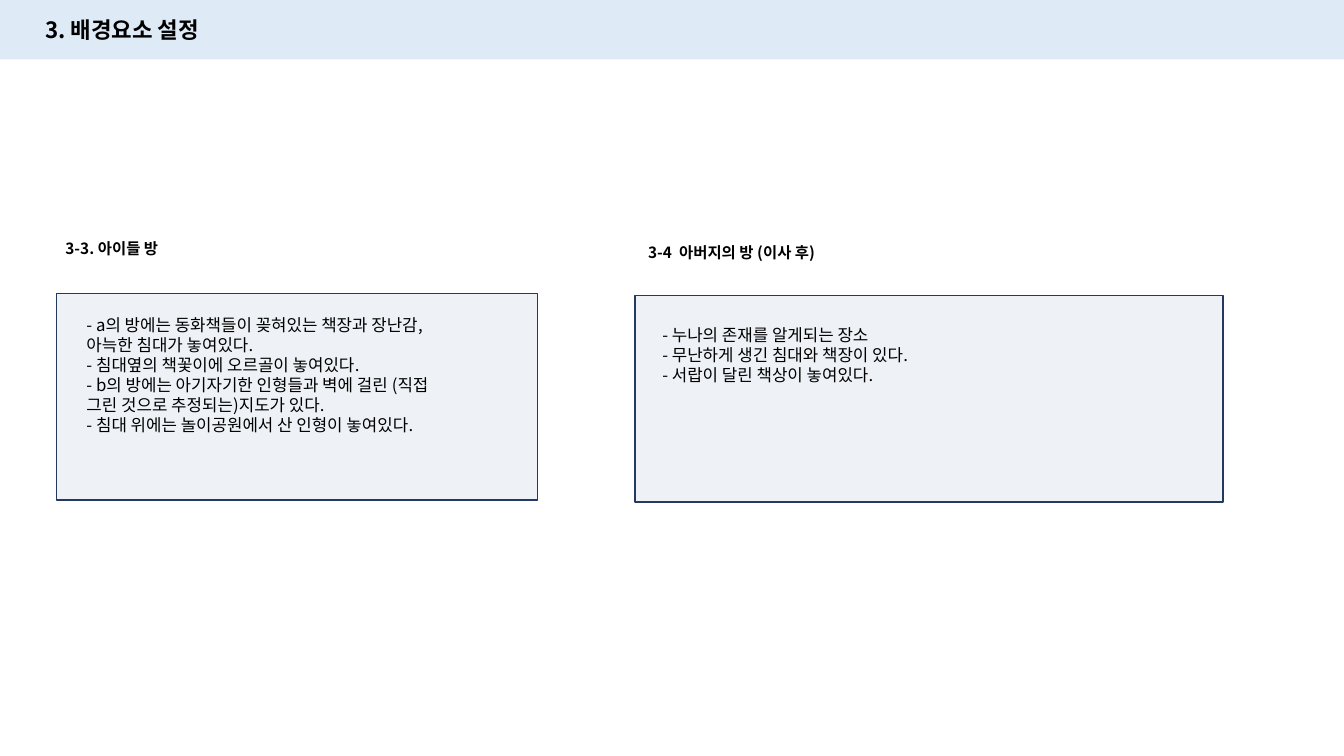
from dataclasses import dataclass

from lxml import etree
from pptx import Presentation
from pptx.dml.color import RGBColor
from pptx.enum import shapes, text
from pptx.oxml import ns
from pptx.slide import Slide
from pptx.util import Inches, Pt


@dataclass(frozen=True)
class Theme:
    """Colours, font and type sizes of the slide."""
    font: str = "Noto Sans CJK KR"
    ink: str = "000000"
    band: str = "DEEBF7"
    panel: str = "EEF2F6"
    border: str = "223961"
    title_size: int = 16
    heading_size: int = 11
    body_size: int = 12


@dataclass(frozen=True)
class Box:
    """A rectangle measured in inches."""
    left: float
    top: float
    width: float
    height: float

    def lengths(self) -> tuple[Inches, ...]:
        """Return the four measures as lengths."""
        return tuple(map(Inches, (self.left, self.top, self.width, self.height)))


@dataclass(frozen=True)
class Room:
    """A room with its heading, panel and description."""
    heading: str
    heading_box: Box
    panel_box: Box
    body_box: Box
    lines: tuple[str, ...]


THEME = Theme()
WIDTH, HEIGHT = 13.33, 7.5
ROOMS = (
    Room(
        "3-3. 아이들 방",
        Box(0.55, 2.32, 2.11, 0.29),
        Box(0.56, 2.91, 4.77, 2.05),
        Box(0.76, 3.07, 3.76, 1.7),
        (
            "- a의 방에는 동화책들이 꽂혀있는 책장과 장난감, 아늑한 침대가 놓여있다.",
            "- 침대옆의 책꽃이에 오르골이 놓여있다.",
            "- b의 방에는 아기자기한 인형들과 벽에 걸린 (직접 그린 것으로 추정되는)지도가 있다.",
            "- 침대 위에는 놀이공원에서 산 인형이 놓여있다.",
        ),
    ),
    Room(
        "3-4  아버지의 방 (이사 후)",
        Box(6.33, 2.36, 2.11, 0.29),
        Box(6.3, 2.93, 5.83, 2.05),
        Box(6.47, 3.17, 4.99, 0.89),
        (
            "- 누나의 존재를 알게되는 장소",
            "- 무난하게 생긴 침대와 책장이 있다.",
            "- 서랍이 달린 책상이 놓여있다.",
        ),
    ),
)


def add_rectangle(slide: Slide, box: Box, fill: str, border: str | None = None) -> None:
    """Draw a filled rectangle, outlined when a border colour is given."""
    shape = slide.shapes.add_shape(shapes.MSO_SHAPE.RECTANGLE, *box.lengths())
    shape.shadow.inherit = False
    shape.fill.solid()
    shape.fill.fore_color.rgb = RGBColor.from_string(fill)
    if border:
        shape.line.color.rgb = RGBColor.from_string(border)
        shape.line.width = Pt(1)
    else:
        shape.line.fill.background()


def add_text(slide: Slide, box: Box, lines: tuple[str, ...], size: int, heading: bool) -> None:
    """Write one paragraph per line, bold and centred vertically for a heading."""
    frame = slide.shapes.add_textbox(*box.lengths()).text_frame
    frame.word_wrap = True
    frame.auto_size = text.MSO_AUTO_SIZE.SHAPE_TO_FIT_TEXT
    frame.vertical_anchor = text.MSO_ANCHOR.MIDDLE if heading else text.MSO_ANCHOR.TOP
    for index, line in enumerate(lines):
        paragraph = frame.add_paragraph() if index else frame.paragraphs[0]
        run = paragraph.add_run()
        run.text = line
        run.font.name = THEME.font
        run.font.size = Pt(size)
        run.font.bold = heading
        run.font.color.rgb = RGBColor.from_string(THEME.ink)
        etree.SubElement(run.font._element, ns.qn("a:ea"), typeface=THEME.font)


def add_room(slide: Slide, room: Room) -> None:
    """Draw the heading, panel and description of a room."""
    add_text(slide, room.heading_box, (room.heading,), THEME.heading_size, True)
    add_rectangle(slide, room.panel_box, THEME.panel, THEME.border)
    add_text(slide, room.body_box, room.lines, THEME.body_size, False)


def main() -> None:
    """Build and save the presentation."""
    presentation = Presentation()
    presentation.slide_width = Inches(WIDTH)
    presentation.slide_height = Inches(HEIGHT)
    slide = presentation.slides.add_slide(presentation.slide_layouts[6])
    add_rectangle(slide, Box(0, 0, WIDTH, 0.59), THEME.band)
    add_text(slide, Box(0.35, 0.11, 2.11, 0.37), ("3. 배경요소 설정",), THEME.title_size, True)
    for room in ROOMS:
        add_room(slide, room)
    presentation.save("out.pptx")


if __name__ == "__main__":
    main()
